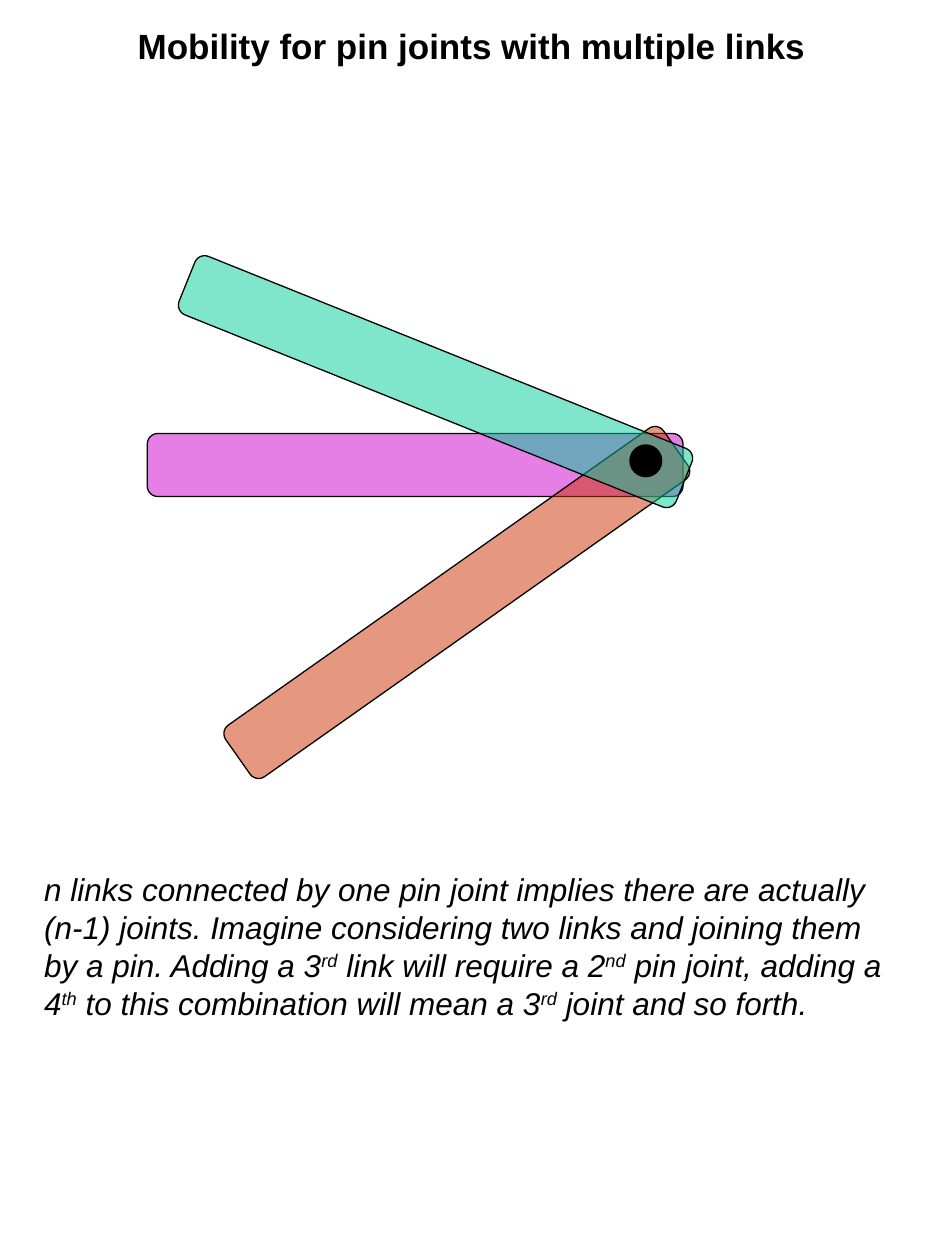
from dataclasses import dataclass

from lxml import etree
from pptx import Presentation
from pptx import util as u
from pptx.dml.color import RGBColor
from pptx.enum import shapes, text
from pptx.oxml import ns


@dataclass(frozen=True)
class Theme:
    font: str = "Arial"
    ink: str = "000000"
    level_link: str = "CC00CC"
    rising_link: str = "CC3300"
    falling_link: str = "00CC99"
    link_opacity: int = 50
    title_size: int = 20
    body_size: int = 18
    line_width: float = 0.75


THEME = Theme()


def style_shape(shape, color, opacity=100):
    shape.shadow.inherit = False
    shape.fill.solid()
    shape.fill.fore_color.rgb = RGBColor.from_string(color)
    if opacity < 100:
        fill_color = shape._element.spPr.find(ns.qn("a:solidFill"))[0]
        alpha = etree.SubElement(fill_color, ns.qn("a:alpha"))
        alpha.set("val", str(opacity * 1000))
    shape.line.color.rgb = RGBColor.from_string(THEME.ink)
    shape.line.width = u.Pt(THEME.line_width)


def style_font(font, size):
    font.name = THEME.font
    font.size = u.Pt(size)
    font.color.rgb = RGBColor.from_string(THEME.ink)


def add_title(slide, left, top, width, height):
    title = slide.shapes.add_textbox(u.Cm(left), u.Cm(top), u.Cm(width), u.Cm(height))
    frame = title.text_frame
    frame.word_wrap = True
    frame.vertical_anchor = text.MSO_ANCHOR.MIDDLE
    frame.text = "Mobility for pin joints with multiple links"
    heading = frame.paragraphs[0]
    heading.alignment = text.PP_ALIGN.CENTER
    style_font(heading.runs[0].font, THEME.title_size)
    heading.runs[0].font.bold = True


def add_linkage(slide, left, top):
    # Three equal links: offset in the box, rotation, colour
    link_length, link_width, pin_size = 10.8, 1.27, 0.64
    links = [
        (0, 1.68, 0, THEME.level_link),
        (0.84, 4.45, 324.8, THEME.rising_link),
        (0.41, 0, 21.9, THEME.falling_link),
    ]
    for dx, dy, angle, color in links:
        link = slide.shapes.add_shape(
            shapes.MSO_SHAPE.ROUNDED_RECTANGLE,
            u.Cm(left + dx), u.Cm(top + dy), u.Cm(link_length), u.Cm(link_width))
        link.rotation = angle
        style_shape(link, color, THEME.link_opacity)

    # Shared pin on top
    pin = slide.shapes.add_shape(
        shapes.MSO_SHAPE.OVAL,
        u.Cm(left + 9.73), u.Cm(top + 1.91), u.Cm(pin_size), u.Cm(pin_size))
    style_shape(pin, THEME.ink)


def add_explanation(slide, left, top, width, height):
    # Each piece is a stretch of text and the ordinal ending raised after it
    pieces = [
        ("n links connected by one pin joint implies there are actually (n-1) joints. "
         "Imagine considering two links and joining them by a pin. Adding a 3", "rd"),
        (" link will require a 2", "nd"),
        (" pin joint, adding a 4", "th"),
        (" to this combination will mean a 3", "rd"),
        (" joint and so forth.", ""),
    ]
    explanation = slide.shapes.add_textbox(
        u.Cm(left), u.Cm(top), u.Cm(width), u.Cm(height))
    frame = explanation.text_frame
    frame.word_wrap = True
    frame.auto_size = text.MSO_AUTO_SIZE.SHAPE_TO_FIT_TEXT
    paragraph = frame.paragraphs[0]
    for words, ordinal in pieces:
        for content, baseline in ((words, 0), (ordinal, 30)):
            if not content:
                continue
            run = paragraph.add_run()
            run.text = content
            style_font(run.font, THEME.body_size)
            run.font.italic = True
            if baseline:
                run._r.get_or_add_rPr().set("baseline", str(baseline * 1000))


def main():
    deck = Presentation()
    deck.slide_width, deck.slide_height = u.Cm(19.05), u.Cm(25.4)
    slide = deck.slides.add_slide(deck.slide_layouts[6])
    add_title(slide, 1.42, 0.2, 16.18, 1.42)
    add_linkage(slide, 2.97, 7.06)
    add_explanation(slide, 0.64, 17.42, 17.78, 3.3)
    deck.save("out.pptx")


if __name__ == "__main__":
    main()
